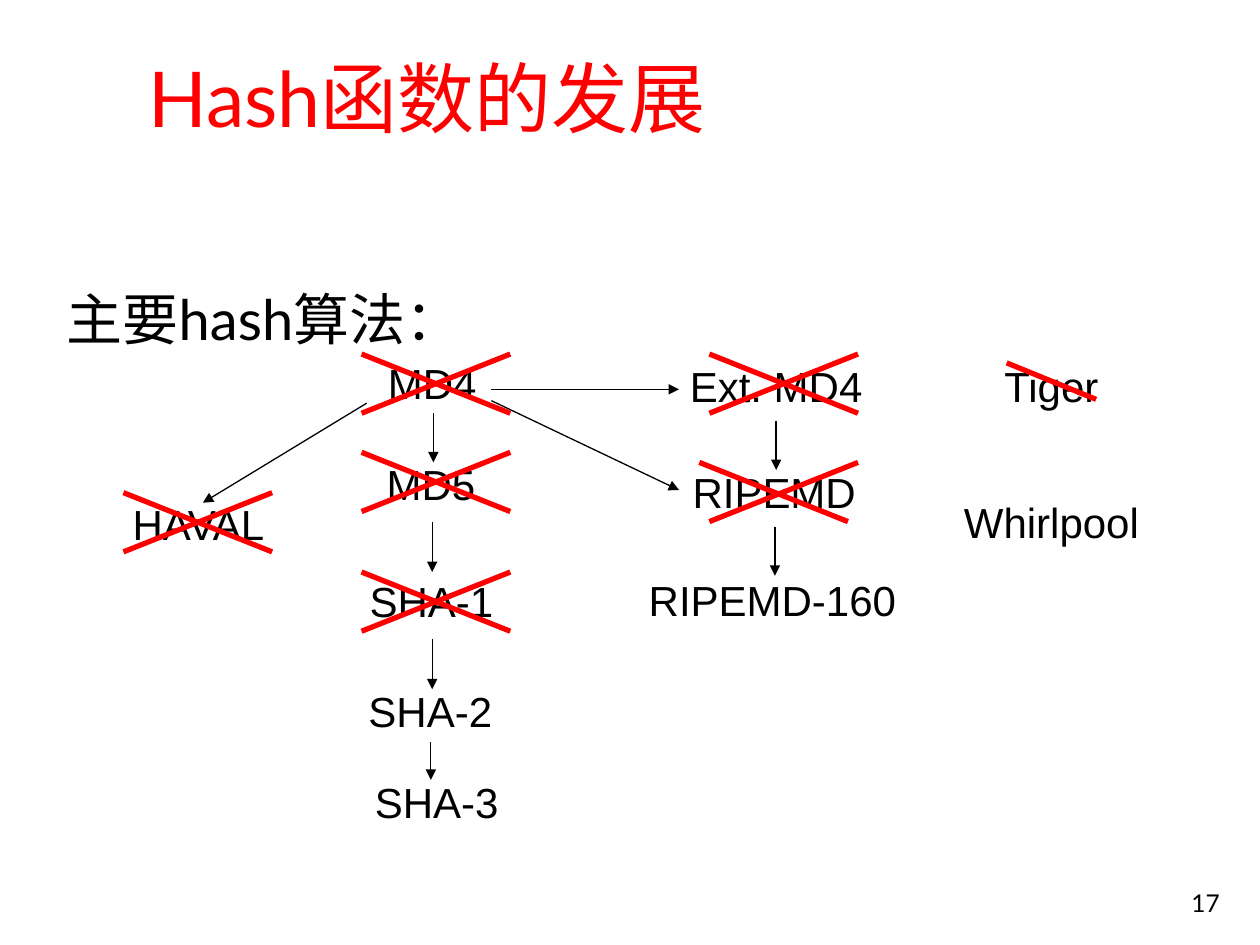
from lxml import etree
from pptx import Presentation
from pptx.dml.color import RGBColor
from pptx.enum import shapes, text
from pptx.oxml.ns import qn
from pptx.util import Inches, Pt

BLACK = RGBColor(0, 0, 0)
RED = RGBColor(255, 0, 0)
CROSS_W, CROSS_H = 1.18, 0.47

ALGORITHMS = [
    ("HAVAL", 0.51, 3.91, 2.13),
    ("MD4", 2.8, 2.79, 1.26),
    ("MD5", 2.79, 3.59, 1.26),
    ("SHA-1", 2.64, 4.52, 1.57),
    ("SHA-2", 2.59, 5.39, 1.65),
    ("SHA-3", 2.64, 6.11, 1.65),
    ("Ext. MD4", 5.02, 2.81, 2.28),
    ("RIPEMD", 5.08, 3.65, 2.13),
    ("RIPEMD-160", 4.87, 4.51, 2.52),
    ("Tiger", 7.28, 2.81, 2.13),
    ("Whirlpool", 7.28, 3.89, 2.13),
]
ARROWS = [
    (3.44, 3.28, 3.44, 3.67),
    (3.9, 3.09, 5.39, 3.09),
    (3.9, 3.18, 5.39, 3.89),
    (2.91, 3.2, 1.61, 3.99),
    (3.43, 4.14, 3.43, 4.54),
    (3.43, 5.07, 3.43, 5.47),
    (6.16, 3.34, 6.16, 3.73),
    (6.15, 4.18, 6.15, 4.57),
]
CROSSES = [
    (0.98, 3.91, 0),
    (2.87, 2.81, 0),
    (2.87, 3.59, 0),
    (2.87, 4.54, 0),
    (5.63, 2.81, 0),
    (5.55, 3.67, 0.08),
]


def add_text(s, content, left, top, width, height, size, font="Lato", color=BLACK,
             align=text.PP_ALIGN.LEFT, anchor=text.MSO_ANCHOR.TOP):
    """Add a one-paragraph text box."""
    sp = s.shapes.add_textbox(Inches(left), Inches(top), Inches(width), Inches(height))
    tf = sp.text_frame
    tf.word_wrap = True
    tf.vertical_anchor = anchor
    tf.text = content
    p = tf.paragraphs[0]
    p.alignment = align
    r = p.runs[0]
    r.font.size = Pt(size)
    r.font.name = font
    r.font.color.rgb = color


def add_line(s, x1, y1, x2, y2, color, width):
    """Add a straight line without a shadow."""
    line = s.shapes.add_connector(shapes.MSO_CONNECTOR.STRAIGHT,
                                  Inches(x1), Inches(y1), Inches(x2), Inches(y2))
    line.line.color.rgb = color
    line.line.width = Pt(width)
    etree.SubElement(line._element.spPr, qn("a:effectLst"))
    return line


def add_arrow(s, x1, y1, x2, y2, width=0.75):
    """Add a black line that ends in a triangle."""
    line = add_line(s, x1, y1, x2, y2, BLACK, width)
    etree.SubElement(line.line._get_or_add_ln(), qn("a:tailEnd"), type="triangle")


def add_cross(s, left, top, shift):
    """Cross out a broken algorithm, the rising stroke moved right by shift."""
    right, bottom = left + CROSS_W, top + CROSS_H
    add_line(s, left, top, right, bottom, RED, 3)
    add_line(s, right + shift, top, left + shift, bottom, RED, 3)


def main():
    """Build the slide on the development of hash functions."""
    prs = Presentation()
    prs.slide_width, prs.slide_height = Inches(10), Inches(7.5)
    s = prs.slides.add_slide(prs.slide_layouts[6])
    add_text(s, "17", 7.7, 6.83, 2.08, 0.5, 14,
             align=text.PP_ALIGN.RIGHT, anchor=text.MSO_ANCHOR.BOTTOM)
    add_text(s, "主要hash算法：", 0.43, 2.21, 9.36, 4.5, 32)
    for name, left, top, width in ALGORITHMS:
        add_text(s, name, left, top, width, 0.5, 24, "Arial", align=text.PP_ALIGN.CENTER)
    for ends in ARROWS:
        add_arrow(s, *ends)
    add_arrow(s, 3.42, 5.89, 3.42, 6.19, 0.5)
    for cross in CROSSES:
        add_cross(s, *cross)
    add_line(s, 7.99, 2.88, 8.7, 3.17, RED, 3)
    add_text(s, "Hash函数的发展", 1.08, 0.25, 8.52, 0.93, 44, color=RED,
             anchor=text.MSO_ANCHOR.BOTTOM)
    prs.save("out.pptx")


if __name__ == "__main__":
    main()
